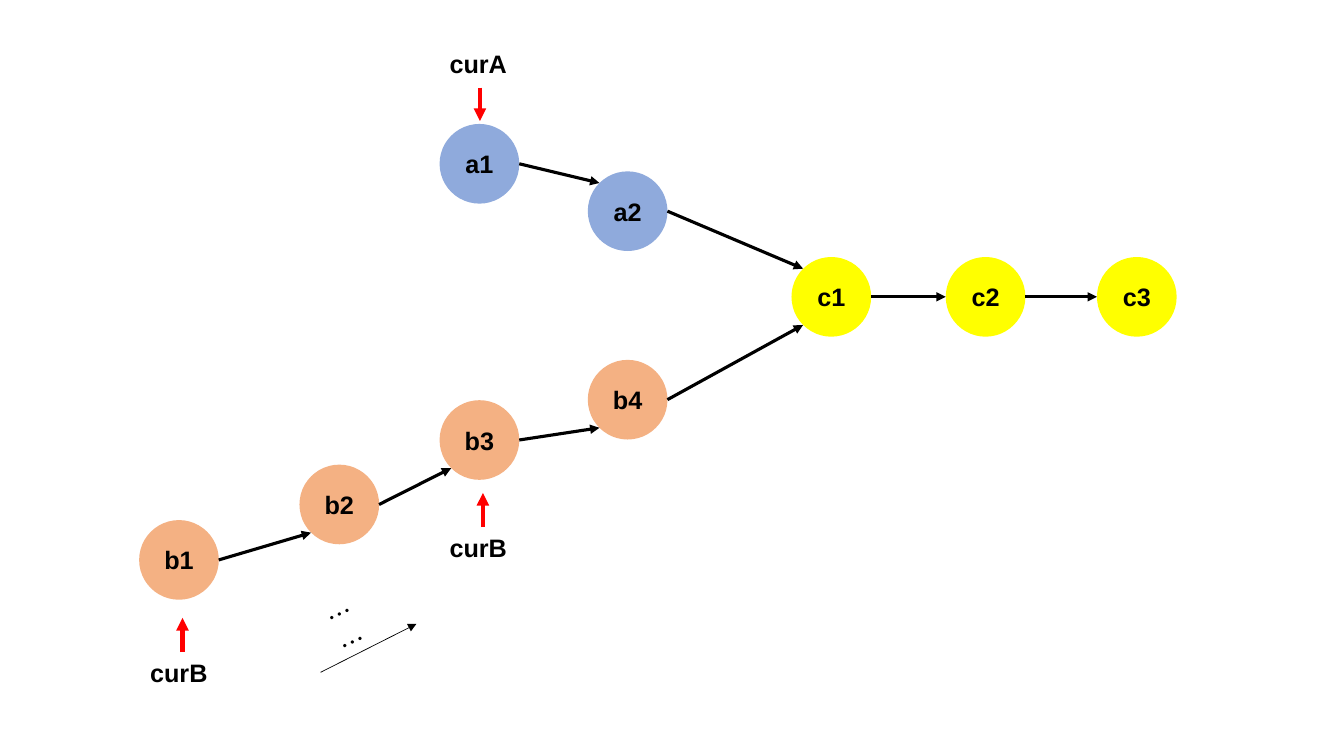
from dataclasses import dataclass
from itertools import pairwise
from math import sqrt

from lxml.etree import SubElement
from pptx import Presentation
from pptx.dml.color import RGBColor
from pptx.enum.shapes import MSO_CONNECTOR, MSO_SHAPE
from pptx.enum.text import MSO_ANCHOR, PP_ALIGN
from pptx.oxml.ns import qn
from pptx.slide import Slide
from pptx.text.text import TextFrame
from pptx.util import Inches, Pt

BLACK = RGBColor(0x00, 0x00, 0x00)
RED = RGBColor(0xFF, 0x00, 0x00)
BLUE = RGBColor(0x8F, 0xAA, 0xDC)
ORANGE = RGBColor(0xF4, 0xB1, 0x83)
YELLOW = RGBColor(0xFF, 0xFF, 0x00)

DIAMETER = 0.79
RADIUS = DIAMETER / 2
DIAGONAL = RADIUS / sqrt(2)
LATIN_FONT = "Arial"
CJK_FONT = "Noto Sans CJK SC"

Point = tuple[float, float]


@dataclass(frozen=True)
class Node:
    """A list node, placed by its top left corner in inches."""
    label: str
    left: float
    top: float
    color: RGBColor

    @property
    def center(self) -> Point:
        """Return the middle of the circle."""
        return self.left + RADIUS, self.top + RADIUS


@dataclass(frozen=True)
class Pointer:
    """A cursor label with the red arrow that points at a node."""
    label: str
    left: float
    top: float
    start: Point
    end: Point


LIST_A = [Node("a1", 4.36, 1.23, BLUE), Node("a2", 5.83, 1.7, BLUE)]
LIST_B = [
    Node("b1", 1.38, 5.16, ORANGE),
    Node("b2", 2.97, 4.61, ORANGE),
    Node("b3", 4.36, 3.97, ORANGE),
    Node("b4", 5.83, 3.57, ORANGE),
]
SHARED_TAIL = [
    Node("c1", 7.85, 2.55, YELLOW),
    Node("c2", 9.38, 2.55, YELLOW),
    Node("c3", 10.88, 2.55, YELLOW),
]
POINTERS = [
    Pointer("curA", 4.36, 0.43, (4.76, 0.87), (4.76, 1.2)),
    Pointer("curB", 4.36, 5.23, (4.79, 5.23), (4.79, 4.89)),
    Pointer("curB", 1.39, 6.47, (1.81, 6.47), (1.81, 6.13)),
]


def write(frame: TextFrame, text: str, font: str = LATIN_FONT, bold: bool = True) -> None:
    """Put one black 18 point run into a text frame."""
    run = frame.paragraphs[0].add_run()
    run.text = text
    formats = {"name": font, "size": Pt(18), "bold": bold}
    for key, value in formats.items():
        setattr(run.font, key, value)
    run.font.color.rgb = BLACK


def draw_arrow(slide: Slide, start: Point, end: Point, color: RGBColor, width: float) -> None:
    """Draw a straight arrow without a shadow."""
    arrow = slide.shapes.add_connector(
        MSO_CONNECTOR.STRAIGHT, *(Inches(value) for value in (*start, *end)))
    arrow.line.color.rgb = color
    arrow.line.width = Pt(width)
    SubElement(arrow.line._get_or_add_ln(), qn("a:tailEnd"), type="triangle")
    SubElement(arrow._element.spPr, qn("a:effectLst"))


def draw_node(slide: Slide, node: Node) -> None:
    """Draw a labelled circle."""
    circle = slide.shapes.add_shape(
        MSO_SHAPE.OVAL, Inches(node.left), Inches(node.top), Inches(DIAMETER), Inches(DIAMETER))
    circle.shadow.inherit = False
    circle.fill.solid()
    circle.fill.fore_color.rgb = node.color
    circle.line.fill.background()
    circle.text_frame.vertical_anchor = MSO_ANCHOR.MIDDLE
    circle.text_frame.paragraphs[0].alignment = PP_ALIGN.CENTER
    write(circle.text_frame, node.label)


def draw_link(slide: Slide, source: Node, target: Node) -> None:
    """Link the right side of a node to the nearest left point of the next."""
    x, y = source.center
    target_x, target_y = target.center
    if target_y == y:
        end = (target.left, target_y)
    else:
        side = -1 if target_y > y else 1
        end = (target_x - DIAGONAL, target_y + side * DIAGONAL)
    draw_arrow(slide, (x + RADIUS, y), end, BLACK, 2.25)


def draw_pointer(slide: Slide, pointer: Pointer) -> None:
    """Draw a cursor label and its arrow."""
    label = slide.shapes.add_textbox(
        Inches(pointer.left), Inches(pointer.top), Inches(0.78), Inches(0.4))
    label.text_frame.word_wrap = False
    write(label.text_frame, pointer.label)
    draw_arrow(slide, pointer.start, pointer.end, RED, 3)


def draw_progress(slide: Slide) -> None:
    """Draw the slanted dots and the thin arrow along list B."""
    dots = slide.shapes.add_textbox(Inches(3.14), Inches(5.87), Inches(0.56), Inches(0.4))
    dots.rotation = 334.8
    dots.text_frame.word_wrap = True
    write(dots.text_frame, "……", CJK_FONT, bold=False)
    properties = dots.text_frame.paragraphs[0].runs[0].font._element
    SubElement(properties, qn("a:ea"), typeface=CJK_FONT)
    draw_arrow(slide, (3.18, 6.67), (4.13, 6.19), BLACK, 0.5)


def main() -> None:
    """Build the slide with two lists that share a tail."""
    presentation = Presentation()
    presentation.slide_width = Inches(13.33)
    presentation.slide_height = Inches(7.5)
    slide = presentation.slides.add_slide(presentation.slide_layouts[6])

    for node in LIST_A + LIST_B + SHARED_TAIL:
        draw_node(slide, node)
    for chain in (SHARED_TAIL, LIST_A + SHARED_TAIL[:1], LIST_B + SHARED_TAIL[:1]):
        for source, target in pairwise(chain):
            draw_link(slide, source, target)
    for pointer in POINTERS:
        draw_pointer(slide, pointer)
    draw_progress(slide)
    presentation.save("out.pptx")


main()
